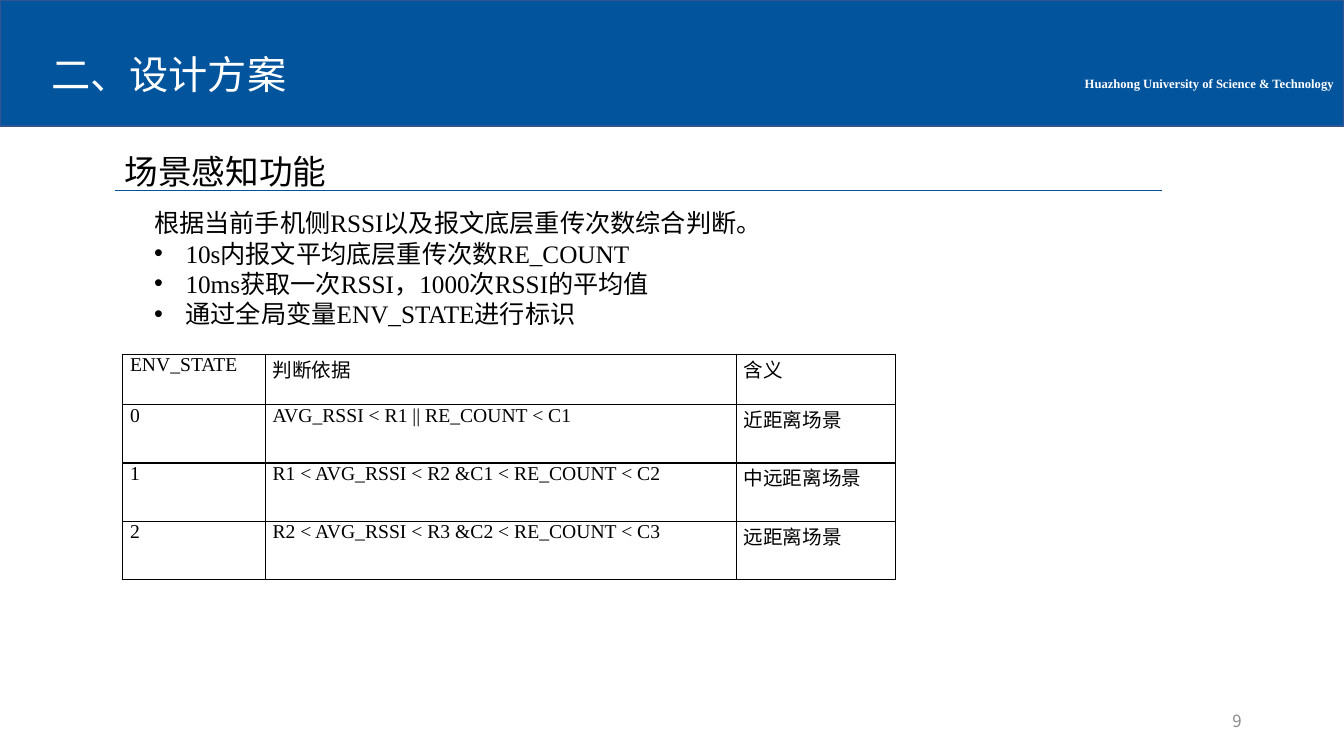
from dataclasses import dataclass

from lxml import etree
from pptx import Presentation
from pptx.dml.color import RGBColor
from pptx.enum.shapes import MSO_CONNECTOR, MSO_SHAPE
from pptx.enum.text import MSO_ANCHOR, MSO_AUTO_SIZE, PP_ALIGN
from pptx.oxml.ns import qn
from pptx.util import Pt

RECT = MSO_SHAPE.RECTANGLE
LINE = MSO_CONNECTOR.STRAIGHT
TOP, MID = MSO_ANCHOR.TOP, MSO_ANCHOR.MIDDLE
LEFT, CENTER, RIGHT = PP_ALIGN.LEFT, PP_ALIGN.CENTER, PP_ALIGN.RIGHT
FIXED = MSO_AUTO_SIZE.NONE

TITLE = "二、设计方案"
SCHOOL = "Huazhong University of Science & Technology"
TOPIC = "场景感知功能"
PAGE = "9"
INTRO = "根据当前手机侧RSSI以及报文底层重传次数综合判断。"
POINTS = [
    "10s内报文平均底层重传次数RE_COUNT",
    "10ms获取一次RSSI，1000次RSSI的平均值",
    "通过全局变量ENV_STATE进行标识",
]
STATES = [
    ("ENV_STATE", "判断依据", "含义"),
    ("0", "AVG_RSSI < R1 || RE_COUNT < C1", "近距离场景"),
    ("1", "R1 < AVG_RSSI < R2 &C1 < RE_COUNT < C2", "中远距离场景"),
    ("2", "R2 < AVG_RSSI < R3 &C2 < RE_COUNT < C3", "远距离场景"),
]
COLS = [101.8, 336.5, 114]
ROWS = [36] + [41.7] * 3


@dataclass(frozen=True)
class Theme:
    blue: str = "02549D"
    edge: str = "325491"
    white: str = "FFFFFF"
    black: str = "000000"
    gray: str = "8C8C8C"
    sans: str = "Noto Sans CJK SC"
    serif: str = "Times New Roman"
    title: float = 28
    topic: float = 24
    body: float = 18
    cell: float = 14
    page: float = 12
    school: float = 9


theme = Theme()


def color(code):
    return RGBColor.from_string(code)


def style(para, size, face, code, bold=False):
    for run in para.runs:
        font = run.font
        font.size, font.name, font.bold = Pt(size), face, bold
        font.color.rgb = color(code)
        east = etree.SubElement(font._element, qn("a:ea"))
        east.set("typeface", theme.sans)


def place(shape, left, top, width, height):
    shape.left, shape.top = Pt(left), Pt(top)
    shape.width, shape.height = Pt(width), Pt(height)


def setup(shape, anchor):
    frame = shape.text_frame
    frame.word_wrap = True
    frame.auto_size = FIXED
    frame.vertical_anchor = anchor
    return frame


def label(slide, text, area, size, face, code, align=LEFT, anchor=TOP, bold=False):
    box = slide.shapes.add_textbox(*map(Pt, area))
    frame = setup(box, anchor)
    frame.text = text
    para = frame.paragraphs[0]
    para.alignment = align
    style(para, size, face, code, bold)
    return para


def indent(para, margin, first):
    props = para._p.get_or_add_pPr()
    props.set("marL", str(Pt(margin)))
    props.set("indent", str(Pt(first)))
    return props


def header(slide):
    title = slide.shapes.title
    place(title, 29.5, -1.4, 319, 75)
    frame = setup(title, TOP)
    frame.text = TITLE
    para = frame.paragraphs[0]
    para.alignment, para.line_spacing = LEFT, 2.0
    style(para, theme.title, theme.sans, theme.white)

    band = slide.shapes.add_shape(RECT, 0, Pt(0.5), Pt(960), Pt(89.5))
    band.shadow.inherit = False
    band.fill.solid()
    band.fill.fore_color.rgb = color(theme.blue)
    band.line.color.rgb = color(theme.edge)
    band.line.width = Pt(1)
    title.element.addprevious(band.element)

    para = label(slide, SCHOOL, (714.2, 50.6, 275, 18), theme.school,
                 theme.serif, theme.white, CENTER, MID, True)
    indent(para, 0, 24)


def topic(slide):
    label(slide, TOPIC, (82, 104.4, 471.6, 36), theme.topic, theme.sans, theme.black)
    rule = slide.shapes.add_connector(LINE, Pt(82), Pt(136), Pt(830), Pt(136))
    rule.line.color.rgb = color(theme.blue)
    rule.line.width = Pt(0.5)
    etree.SubElement(rule.element.spPr, qn("a:effectLst"))


def body(slide):
    holder = slide.placeholders[1]
    place(holder, 102.8, 144.7, 587, 94.3)
    frame = setup(holder, TOP)
    frame.text = "\n".join([INTRO] + POINTS)
    for i, para in enumerate(frame.paragraphs):
        para.alignment = LEFT
        para.space_before = Pt(0)
        if i:
            props = indent(para, 22.5, -22.5)
            face = etree.SubElement(props, qn("a:buFont"))
            face.set("typeface", "Arial")
            mark = etree.SubElement(props, qn("a:buChar"))
            mark.set("char", "•")
        else:
            etree.SubElement(indent(para, 0, 0), qn("a:buNone"))
        style(para, theme.body, theme.serif, theme.black)


def border(cell):
    props = cell._tc.get_or_add_tcPr()
    for i, side in enumerate(("lnL", "lnR", "lnT", "lnB")):
        edge = etree.Element(qn("a:" + side), w=str(Pt(1)))
        fill = etree.SubElement(edge, qn("a:solidFill"))
        etree.SubElement(fill, qn("a:srgbClr"), val=theme.black)
        props.insert(i, edge)


def states(slide):
    area = map(Pt, (87.6, 253, sum(COLS), sum(ROWS)))
    table = slide.shapes.add_table(len(ROWS), len(COLS), *area).table
    table.first_row = table.horz_banding = False
    for col, width in zip(table.columns, COLS):
        col.width = Pt(width)
    for row, height, texts in zip(table.rows, ROWS, STATES):
        row.height = Pt(height)
        for cell, text in zip(row.cells, texts):
            cell.text = text
            cell.fill.background()
            cell.margin_left = cell.margin_right = Pt(5.3)
            cell.margin_top = cell.margin_bottom = 0
            style(cell.text_frame.paragraphs[0], theme.cell, theme.serif, theme.black)
            border(cell)


def main():
    deck = Presentation()
    deck.slide_width, deck.slide_height = Pt(960), Pt(540)
    slide = deck.slides.add_slide(deck.slide_layouts[1])
    header(slide)
    topic(slide)
    label(slide, PAGE, (678, 500.5, 216, 28.8), theme.page, theme.sans,
          theme.gray, RIGHT, MID)
    body(slide)
    states(slide)
    deck.save("out.pptx")


if __name__ == "__main__":
    main()
